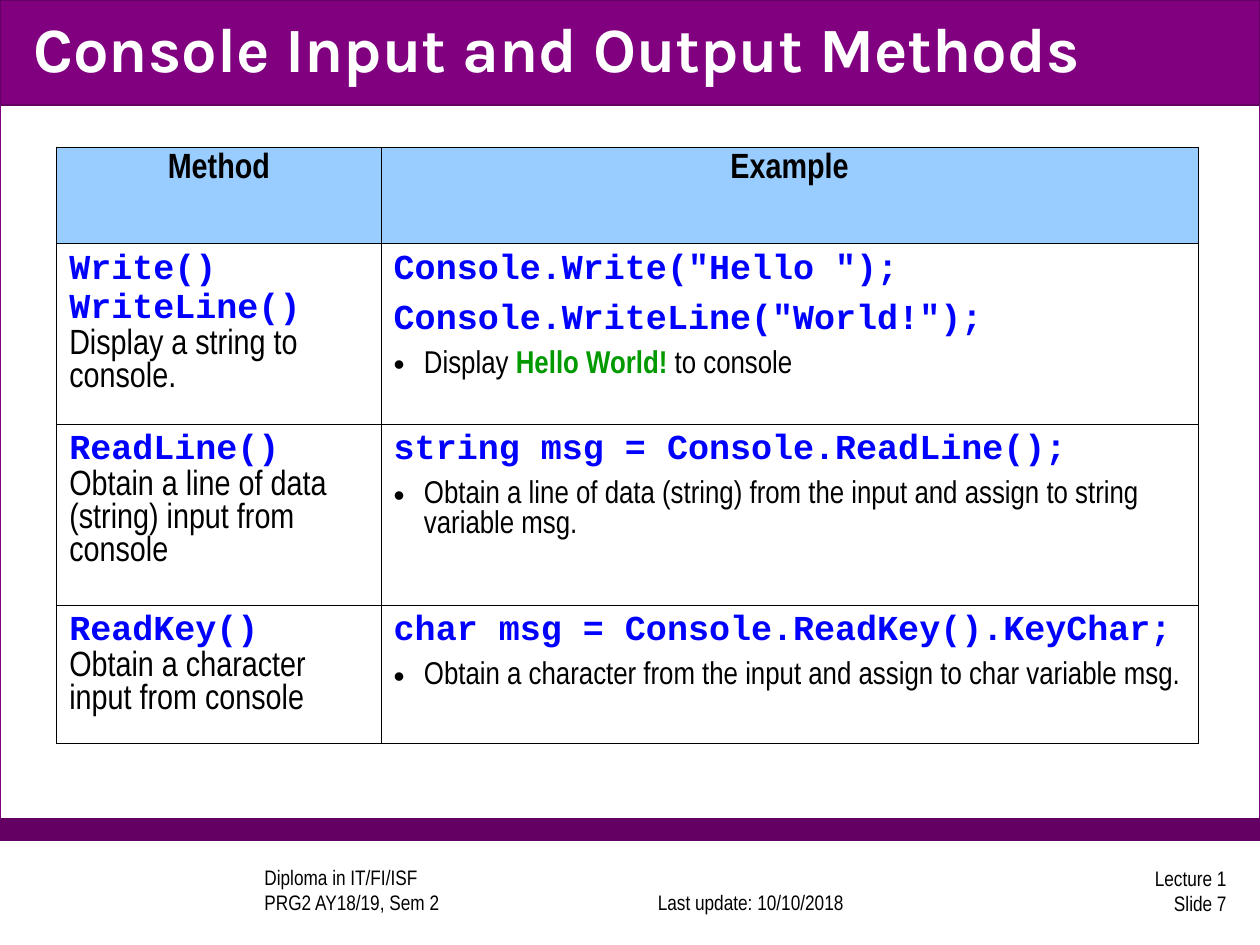
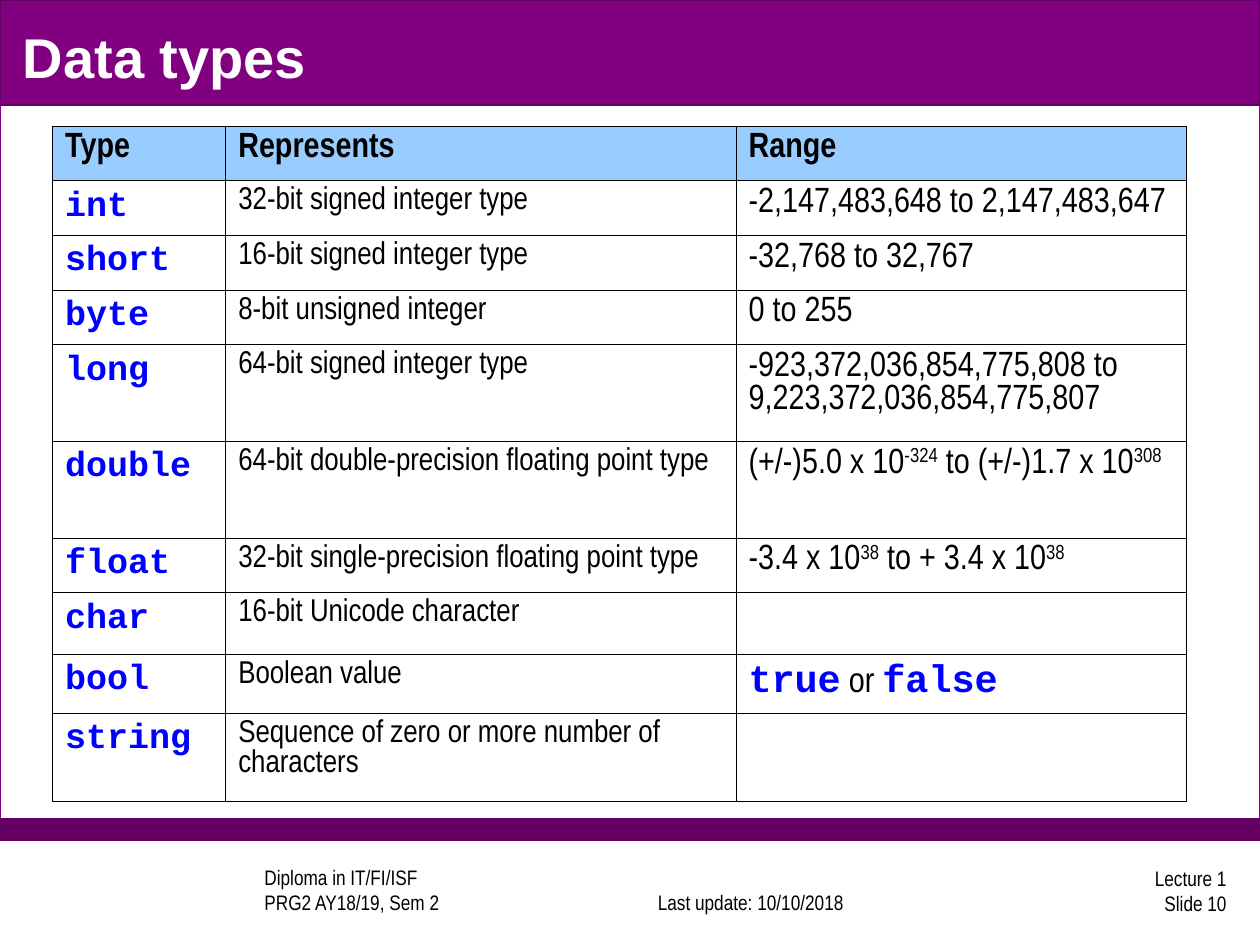
from copy import deepcopy

from lxml.etree import SubElement
from pptx import Presentation
from pptx.dml.color import RGBColor
from pptx.enum.shapes import MSO_SHAPE
from pptx.enum.text import MSO_ANCHOR, PP_ALIGN
from pptx.oxml.ns import qn
from pptx.util import Inches, Pt

COLS, ROWS = 120, 90
WIDTH, HEIGHT = Inches(10), Inches(7.5)
UNIT = WIDTH // COLS

HUES = {
    "white": "FFFFFF", "black": "000000", "purple": "800080",
    "plum": "640064", "sky": "99CCFF", "blue": "0000FF", "green": "009900",
}

# font, size, bold, hue
STYLES = {
    "title": ("Karla", 36, True, "white"),
    "plain": ("Arial", 32, True, "white"),
    "foot": ("Arial Narrow", 12, False, "black"),
    "head": ("Arial Narrow", 20, True, "black"),
    "code": ("Courier New", 20, True, "blue"),
    "word": ("Courier New", 22, True, "blue"),
    "body": ("Arial Narrow", 20, False, "black"),
    "power": ("Arial Narrow", 20, False, "black"),
    "note": ("Arial Narrow", 18, False, "black"),
    "shout": ("Arial Narrow", 18, True, "green"),
}

METHODS = [
    ([[("Write()\nWriteLine()\n", "code"),
       ("Display a string to console.", "body")]],
     [[('Console.Write("Hello ");', "code")],
      [('Console.WriteLine("World!");', "code")],
      [("Display ", "note"), ("Hello World! ", "shout"),
       ("to console", "note")]]),
    ([[("ReadLine()\n", "code"),
       ("Obtain a line of data (string) input from console", "body")]],
     [[("string msg = Console.ReadLine();", "code")],
      [("Obtain a line of data (string) from the input and assign to "
        "string variable msg.", "note")]]),
    ([[("ReadKey()", "code")],
      [("Obtain a character input from console", "body")]],
     [[("char msg = Console.ReadKey().KeyChar;", "code")],
      [("Obtain a character from the input and assign to char variable msg.",
        "note")]]),
]

TYPES = [
    ("int", "32-bit signed integer type",
     [("-2,147,483,648 to 2,147,483,647", "body")]),
    ("short", "16-bit signed integer type", [("-32,768 to 32,767", "body")]),
    ("byte", "8-bit unsigned integer", [("0 to 255", "body")]),
    ("long", "64-bit signed integer type",
     [("-923,372,036,854,775,808 to 9,223,372,036,854,775,807", "body")]),
    ("double", "64-bit double-precision floating point type",
     [("(+/-)5.0 x 10", "body"), ("-324", "power"),
      (" to (+/-)1.7 x 10", "body"), ("308", "power")]),
    ("float", "32-bit single-precision floating point type",
     [("-3.4 x 10", "body"), ("38", "power"),
      (" to + 3.4 x 10", "body"), ("38", "power")]),
    ("char", "16-bit Unicode character", []),
    ("bool", "Boolean value",
     [("true", "word"), (" or ", "body"), ("false", "word")]),
    ("string", "Sequence of zero or more number of characters", []),
]


def hue(name):
    return RGBColor.from_string(HUES[name])


def grid(*marks):
    """Turn grid columns and rows into lengths."""
    return [round(mark * UNIT) for mark in marks]


def add_run(para, text, style):
    name, size, bold, tint = STYLES[style]
    for index, line in enumerate(text.split("\n")):
        if index:
            para.add_line_break()
            para._p[-1].append(deepcopy(run._r.rPr))
        if not line:
            continue
        run = para.add_run()
        run.text = line
        form = {"name": name, "size": Pt(size), "bold": bold}
        for key, value in form.items():
            setattr(run.font, key, value)
        run.font.color.rgb = hue(tint)
        if style == "power":
            run._r.get_or_add_rPr().set("baseline", "30000")


def add_bullet(para):
    props = para._p.get_or_add_pPr()
    props.set("marL", str(Inches(0.24)))
    props.set("indent", str(-Inches(0.24)))
    tint = SubElement(props, qn("a:buClr"))
    SubElement(tint, qn("a:srgbClr"), val=HUES["black"])
    SubElement(props, qn("a:buFont"), typeface="Arial")
    SubElement(props, qn("a:buChar"), char="•")


def fill_text(frame, paras, align=PP_ALIGN.LEFT):
    for index, runs in enumerate(paras):
        para = frame.add_paragraph() if index else frame.paragraphs[0]
        para.alignment = align
        for text, style in runs:
            add_run(para, text, style)


def add_text(slide, box, text, style, align=PP_ALIGN.LEFT,
             anchor=MSO_ANCHOR.MIDDLE):
    frame = slide.shapes.add_textbox(*grid(*box)).text_frame
    frame.word_wrap = True
    frame.vertical_anchor = anchor
    fill_text(frame, [[(text, style)]], align)


def add_band(slide, top, high, fill, line):
    band = slide.shapes.add_shape(MSO_SHAPE.RECTANGLE,
                                  *grid(0, top, COLS, high))
    band.shadow.inherit = False
    band.fill.solid()
    band.fill.fore_color.rgb = hue(fill)
    band.line.color.rgb = hue(line)
    band.line.width = Pt(0.75)


def add_frame(deck, title, style, box, number):
    """Add a slide with its bands, title and footers."""
    slide = deck.slides.add_slide(deck.slide_layouts[6])
    add_band(slide, 0, 80, "white", "purple")
    add_band(slide, 78, 2, "plum", "plum")
    add_band(slide, 0, 10, "purple", "plum")
    low = MSO_ANCHOR.BOTTOM
    add_text(slide, (24, 82.7, 32, 5),
             "Diploma in IT/FI/ISF\nPRG2 AY18/19, Sem 2", "foot", anchor=low)
    add_text(slide, (59, 82.7, 25, 5), "Last update: 10/10/2018", "foot",
             PP_ALIGN.CENTER, low)
    add_text(slide, (93, 82.3, 25, 5), f"Lecture 1\nSlide {number}", "foot",
             PP_ALIGN.RIGHT)
    add_text(slide, box, title, style)
    return slide


def edge(cell):
    props = cell._tc.get_or_add_tcPr()
    for side in ("lnL", "lnR", "lnT", "lnB"):
        line = SubElement(props, qn(f"a:{side}"), w=str(Pt(0.45)))
        fill = SubElement(line, qn("a:solidFill"))
        SubElement(fill, qn("a:srgbClr"), val=HUES["black"])


def add_table(slide, spot, wide, high, heads, body, align=PP_ALIGN.LEFT):
    """Draw a ruled table; each body cell is a list of paragraphs."""
    box = grid(*spot, sum(wide), sum(high))
    table = slide.shapes.add_table(len(high), len(wide), *box).table
    table.first_row = table.horz_banding = False
    for col, size in zip(table.columns, grid(*wide)):
        col.width = size
    for row, size in zip(table.rows, grid(*high)):
        row.height = size
    top = [[[(head, "head")]] for head in heads]
    for i, row in enumerate([top, *body]):
        for j, paras in enumerate(row):
            cell = table.cell(i, j)
            edge(cell)
            if i:
                cell.fill.background()
            else:
                cell.fill.solid()
                cell.fill.fore_color.rgb = hue("sky")
            fill_text(cell.text_frame, paras,
                      PP_ALIGN.LEFT if i else align)
    return table


def add_methods(deck):
    slide = add_frame(deck, "Console Input and Output Methods", "title",
                      (2, 0, 118, 9), 7)
    table = add_table(slide, (5.4, 14), (30.9, 77.8),
                      (9.2, 17.2, 17.2, 13.2), ("Method", "Example"),
                      METHODS, PP_ALIGN.CENTER)
    for i in range(1, len(METHODS) + 1):
        *codes, note = table.cell(i, 1).text_frame.paragraphs
        for code in codes:
            code.space_after = Pt(6)
        add_bullet(note)


def add_types(deck):
    slide = add_frame(deck, "Data types", "plain", (1, 1.6, 118, 7.4), 10)
    body = [([[(name, "code")]], [[(sense, "note")]], [span])
            for name, sense, span in TYPES]
    add_table(slide, (5, 12), (16.5, 48.6, 42.9),
              (*[5.2] * 4, 9.2, 9.2, 5.2, 5.9, 5.6, 8.4),
              ("Type", "Represents", "Range"), body)


def main():
    deck = Presentation()
    deck.slide_width, deck.slide_height = WIDTH, HEIGHT
    add_methods(deck)
    add_types(deck)
    deck.save("out.pptx")


if __name__ == "__main__":
    main()
